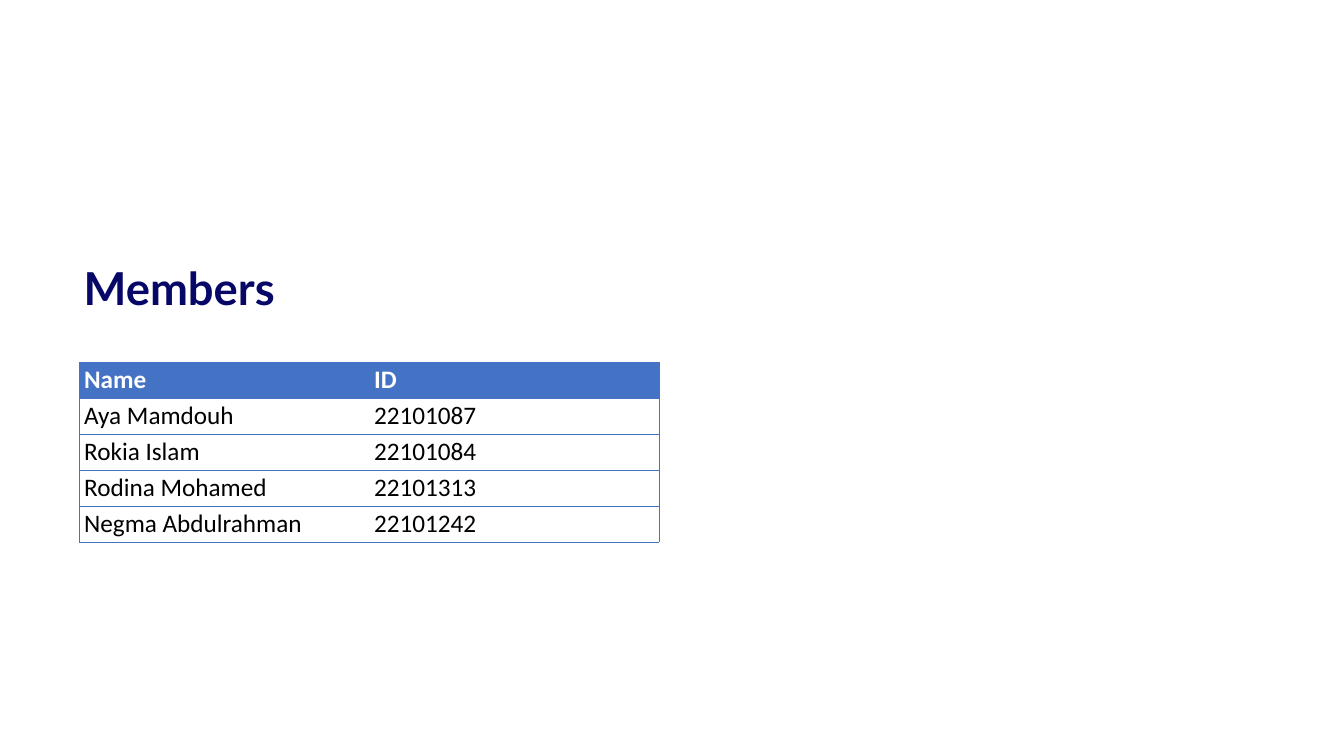
from lxml.etree import SubElement
from pptx import Presentation
from pptx.dml.color import RGBColor
from pptx.enum.text import MSO_ANCHOR, MSO_AUTO_SIZE, PP_ALIGN
from pptx.oxml.ns import qn
from pptx.util import Pt

NAVY, BLUE, WHITE, BLACK = "070768", "4472C4", "FFFFFF", "000000"
MEMBERS = [
    ("Name", "ID"),
    ("Aya Mamdouh", "22101087"),
    ("Rokia Islam", "22101084"),
    ("Rodina Mohamed", "22101313"),
    ("Negma Abdulrahman", "22101242"),
]


def color(hex_value):
    return RGBColor.from_string(hex_value)


def set_font(paragraph, name, size, hex_value, bold):
    font = paragraph.font
    font.name, font.size, font.bold = name, Pt(size), bold
    font.color.rgb = color(hex_value)


def set_borders(cell, sides):
    """Draw a thin blue line on the given sides (of L, R, T, B), none elsewhere."""
    properties = cell._tc.get_or_add_tcPr()
    for side in "LRTB":
        border = SubElement(properties, qn(f"a:ln{side}"), w=str(Pt(0.5)))
        if side in sides:
            fill = SubElement(border, qn("a:solidFill"))
            SubElement(fill, qn("a:srgbClr"), val=BLUE)
        else:
            SubElement(border, qn("a:noFill"))


def add_heading(slide, left, top, width, height):
    title = slide.shapes.title
    title.left, title.top = Pt(left), Pt(top)
    title.width, title.height = Pt(width), Pt(height)
    frame = title.text_frame
    frame.text = "Members"
    frame.word_wrap = True
    frame.auto_size = MSO_AUTO_SIZE.NONE
    frame.vertical_anchor = MSO_ANCHOR.BOTTOM
    heading = frame.paragraphs[0]
    heading.alignment = PP_ALIGN.LEFT
    heading.line_spacing = 0.9
    set_font(heading, "Lato", 64.8, NAVY, True)


def add_member_table(slide, left, top, width, height):
    table = slide.shapes.add_table(
        len(MEMBERS), len(MEMBERS[0]), Pt(left), Pt(top), Pt(width), Pt(height)
    ).table
    table.horz_banding = False
    for row, member in enumerate(MEMBERS):
        is_header = row == 0
        for column, entry in enumerate(member):
            cell = table.cell(row, column)
            cell.text = entry
            set_borders(cell, "TBL" if column == 0 else "TBR")
            cell.fill.solid()
            cell.fill.fore_color.rgb = color(BLUE if is_header else WHITE)
            set_font(cell.text_frame.paragraphs[0], "Calibri", 36,
                     WHITE if is_header else BLACK, is_header)


def main():
    presentation = Presentation()
    presentation.slide_width, presentation.slide_height = Pt(1920), Pt(1080)
    slide = presentation.slides.add_slide(presentation.slide_layouts[5])
    add_heading(slide, 112.3, 373, 712.8, 80.6)
    add_member_table(slide, 113, 517.7, 828.7, 257)
    presentation.save("out.pptx")


if __name__ == "__main__":
    main()
